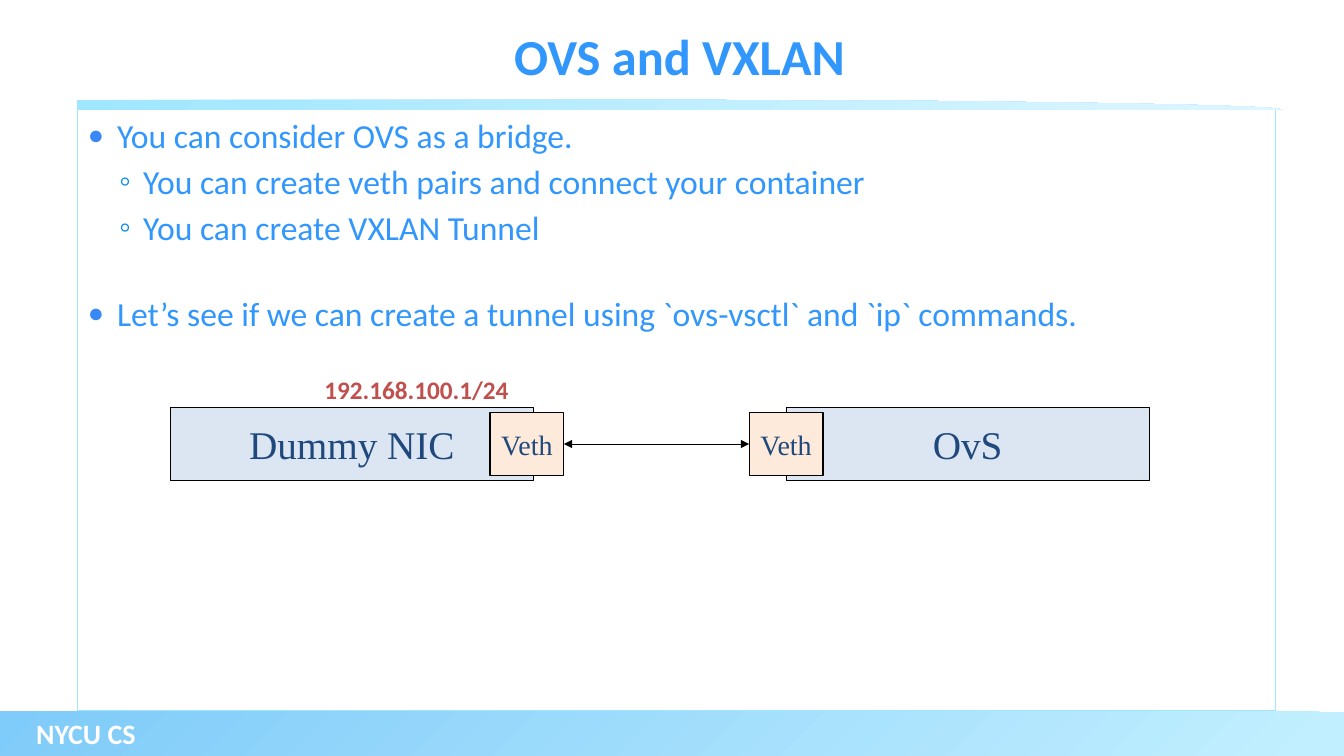
from lxml.etree import SubElement
from pptx import Presentation
from pptx.dml.color import RGBColor
from pptx.enum.shapes import MSO_CONNECTOR as Connector, MSO_SHAPE as Shape
from pptx.enum.text import MSO_ANCHOR as Anchor, MSO_AUTO_SIZE as AutoSize, PP_ALIGN as Align
from pptx.oxml.ns import qn
from pptx.util import Inches, Pt

WIDTH, HEIGHT = Inches(13.33), Inches(7.5)
BLUE = RGBColor(0x32, 0x97, 0xFC)
DISC_BLUE = RGBColor(0x38, 0x89, 0xF6)
RING_BLUE = RGBColor(0x00, 0x88, 0xEE)
NAVY = RGBColor(0x1F, 0x49, 0x7D)
RED = RGBColor(0xC0, 0x50, 0x4D)
BLACK = RGBColor(0x00, 0x00, 0x00)
WHITE = RGBColor(0xFF, 0xFF, 0xFF)
DEVICE_FILL = RGBColor(0xDC, 0xE6, 0xF2)
VETH_FILL = RGBColor(0xFD, 0xEA, 0xDA)
SKY = RGBColor(0x9F, 0xE6, 0xFF)
PALE_SKY = RGBColor(0xDD, 0xF6, 0xFF)
FOOTER_LIGHT = RGBColor(0xC1, 0xEF, 0xFF)
FOOTER_DARK = RGBColor(0x7F, 0xCB, 0xF9)

BULLETS = [("●", DISC_BLUE, 80, 0.29, 0.29), ("◦", RING_BLUE, 100, 0.55, 0.24)]
POINTS = [
    (0, 4, "You can consider OVS as a bridge."),
    (1, 4, "You can create veth pairs and connect your container"),
    (1, 4, "You can create VXLAN Tunnel"),
    (0, 33, "Let’s see if we can create a tunnel using `ovs-vsctl` and `ip` commands."),
]

DEVICE_TOP, DEVICE_WIDTH, DEVICE_HEIGHT = 53.87, 27, 9.73
VETH_WIDTH, VETH_HEIGHT = 5.5, 8.27
VETH_TOP = DEVICE_TOP + (DEVICE_HEIGHT - VETH_HEIGHT) / 2
LEFT_VETH, RIGHT_VETH = 36.46, 55.74


def across(percent):
    return round(WIDTH * percent / 100)


def down(percent):
    return round(HEIGHT * percent / 100)


def area(left, top, width, height):
    return across(left), down(top), across(width), down(height)


def place(shape, *share):
    shape.left, shape.top, shape.width, shape.height = area(*share)


def set_font(para, name, size, color, bold=False):
    font = para.font
    font.name, font.size, font.bold = name, Pt(size), bold
    font.color.rgb = color


def set_line(line, color):
    line.color.rgb = color
    line.width = Pt(0.75)


def set_gradient(shape, angle, start, end, offset=0):
    shape.shadow.inherit = False
    shape.line.fill.background()
    shape.fill.gradient()
    shape.fill.gradient_angle = angle
    first, last = shape.fill.gradient_stops
    first.color.rgb, last.color.rgb = start, end
    first.position = offset


def add_bullet(para, sign, color, size, margin, hanging):
    properties = para._p.get_or_add_pPr()
    properties.set("marL", str(Inches(margin)))
    properties.set("indent", str(-Inches(hanging)))
    tint = SubElement(properties, qn("a:buClr"))
    SubElement(tint, qn("a:srgbClr"), val=str(color))
    SubElement(properties, qn("a:buSzPct"), val=str(size * 1000))
    SubElement(properties, qn("a:buChar"), char=sign)


def fill_title(title):
    place(title, 9.23, 0.93, 82.67, 12.8)
    frame = title.text_frame
    frame.text = "OVS and VXLAN"
    frame.auto_size = AutoSize.NONE
    frame.vertical_anchor = Anchor.MIDDLE
    para = frame.paragraphs[0]
    para.alignment = Align.CENTER
    set_font(para, "Calibri", 36, BLUE, True)


def fill_body(body):
    place(body, 5.78, 14.53, 89.12, 79.47)
    set_line(body.line, SKY)
    frame = body.text_frame
    frame.text = "\n".join(text for _, _, text in POINTS)
    frame.auto_size = AutoSize.NONE
    for para, (level, gap, _) in zip(frame.paragraphs, POINTS):
        para.level = level
        para.space_before = Pt(gap)
        add_bullet(para, *BULLETS[level])
        set_font(para, "Calibri", 24, BLUE)


def add_title_rule(page):
    curve = [(68.04, 13.33), (84.1, 13.6), (95.42, 14), (95.42, 14.53)]
    points = []
    for step in range(25):
        t = step / 24
        weights = ((1 - t) ** 3, 3 * t * (1 - t) ** 2, 3 * t * t * (1 - t), t ** 3)
        x, y = (sum(w * p[axis] for w, p in zip(weights, curve)) for axis in (0, 1))
        points.append((across(x), down(y)))
    points.append((across(5.7), down(14.53)))
    builder = page.shapes.build_freeform(across(5.7), down(13.2))
    builder.add_line_segments([(across(50.56), down(13.2))] + points, close=True)
    set_gradient(builder.convert_to_shape(), 315, SKY, PALE_SKY)


def add_footer(page):
    band = page.shapes.add_shape(Shape.RECTANGLE, *area(0, 94.13, 100, 5.87))
    set_gradient(band, 135, FOOTER_LIGHT, FOOTER_DARK, 0.02)
    add_label(page, "NYCU CS", (1.95, 94.13, 10.9, 5.87), 20, WHITE)


def add_label(page, text, share, size, color):
    frame = page.shapes.add_textbox(*area(*share)).text_frame
    frame.word_wrap = True
    frame.text = text
    set_font(frame.paragraphs[0], "Calibri", size, color, True)


def add_box(page, text, share, fill, size):
    box = page.shapes.add_shape(Shape.RECTANGLE, *area(*share))
    box.shadow.inherit = False
    box.fill.solid()
    box.fill.fore_color.rgb = fill
    set_line(box.line, BLACK)
    frame = box.text_frame
    frame.text = text
    frame.word_wrap = True
    frame.vertical_anchor = Anchor.MIDDLE
    frame.margin_left = frame.margin_right = 0
    para = frame.paragraphs[0]
    para.alignment = Align.CENTER
    set_font(para, "Times New Roman", size, NAVY)


def add_device(page, text, left, veth_left):
    add_box(page, text, (left, DEVICE_TOP, DEVICE_WIDTH, DEVICE_HEIGHT), DEVICE_FILL, 28)
    add_box(page, "Veth", (veth_left, VETH_TOP, VETH_WIDTH, VETH_HEIGHT), VETH_FILL, 20)


def add_double_arrow(page, start, end, height):
    arrow = page.shapes.add_connector(
        Connector.STRAIGHT, across(start), down(height), across(end), down(height))
    set_line(arrow.line, BLACK)
    outline = arrow.line._get_or_add_ln()
    for tip in ("a:headEnd", "a:tailEnd"):
        SubElement(outline, qn(tip), type="triangle")
    SubElement(arrow._element.spPr, qn("a:effectLst"))


def main():
    deck = Presentation()
    deck.slide_width, deck.slide_height = WIDTH, HEIGHT
    page = deck.slides.add_slide(deck.slide_layouts[1])
    add_title_rule(page)
    add_footer(page)
    fill_title(page.shapes.title)
    fill_body(page.placeholders[1])
    add_device(page, "Dummy NIC", 12.68, LEFT_VETH)
    add_device(page, "OvS", 58.5, RIGHT_VETH)
    add_double_arrow(page, LEFT_VETH + VETH_WIDTH, RIGHT_VETH, VETH_TOP + VETH_HEIGHT / 2)
    add_label(page, "192.168.100.1/24", (23.4, 48.8, 19.9, 5.33), 18, RED)
    deck.save("out.pptx")


if __name__ == "__main__":
    main()
